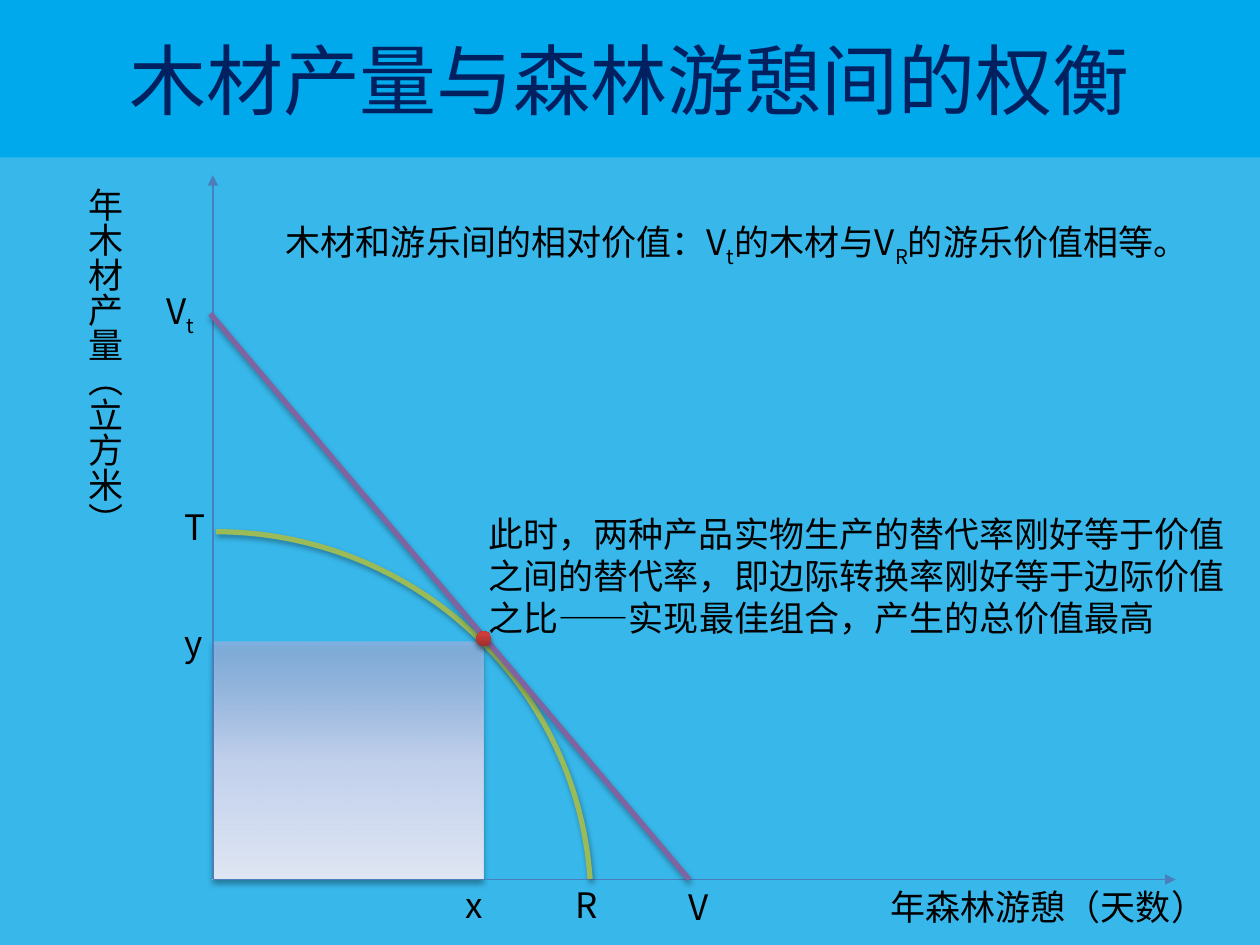
import dataclasses

import pptx
import pptx.dml.color
import pptx.enum.shapes
import pptx.enum.text
import pptx.oxml
import pptx.oxml.ns
import pptx.util
from lxml import etree

Inches = pptx.util.Inches
Pt = pptx.util.Pt
qn = pptx.oxml.ns.qn
Kind = pptx.enum.shapes.MSO_SHAPE
Align = pptx.enum.text.PP_ALIGN
Anchor = pptx.enum.text.MSO_ANCHOR
Fit = pptx.enum.text.MSO_AUTO_SIZE


@dataclasses.dataclass
class Theme:
    font: str = "Noto Sans CJK SC"
    title: int = 44
    body: int = 20
    back: str = "38B7EA"
    band: str = "00A9EC"
    navy: str = "002060"
    ink: str = "000000"
    axis: str = "4B7EBC"
    curve: str = "9BBB59"
    price: str = "8064A2"
    area: tuple = ((0, "9AB5E4", 72), (50, "C2D1ED", 100), (100, "E1E8F5", 100))
    dot: tuple = ((0, "9C2F2D", 100), (80, "CB3E3A", 100), (100, "CE3B37", 100))
    soft: tuple = (32, 3.5, 2.2)
    firm: tuple = (35, 3.1, 1.8)


def rgb(code):
    return pptx.dml.color.RGBColor.from_string(code)


def tint(parent, code, alpha):
    color = etree.SubElement(parent, qn("a:srgbClr"), val=code)
    if alpha < 100:
        etree.SubElement(color, qn("a:alpha"), val=str(alpha * 1000))


class Board:
    def __init__(self, slide, theme):
        self.slide = slide
        self.theme = theme
        slide.background.fill.solid()
        slide.background.fill.fore_color.rgb = rgb(theme.back)

    def shade(self, item, shadow):
        """Replace the inherited effects with a downward shadow, or with none."""
        props = item.element.spPr
        effects = props.find(qn("a:effectLst"))
        if effects is None:
            effects = etree.SubElement(props, qn("a:effectLst"))
        if shadow:
            alpha, blur, dist = shadow
            outer = etree.SubElement(
                effects, qn("a:outerShdw"), blurRad=str(Pt(blur)),
                dist=str(Pt(dist)), dir="5400000", rotWithShape="0")
            tint(outer, self.theme.ink, alpha)

    def shape(self, kind, box, shadow=None):
        item = self.slide.shapes.add_shape(kind, *map(Inches, box))
        item.fill.background()
        item.line.fill.background()
        item.shadow.inherit = False
        self.shade(item, shadow)
        return item

    def blend(self, kind, box, stops, angle, shadow):
        """Add a shape with a gradient fill."""
        item = self.shape(kind, box, shadow)
        item.fill.gradient()
        item.fill.gradient_angle = angle
        group = item.element.spPr.find(qn("a:gradFill")).find(qn("a:gsLst"))
        for old in list(group):
            group.remove(old)
        for place, code, alpha in stops:
            stop = etree.SubElement(group, qn("a:gs"), pos=str(place * 1000))
            tint(stop, code, alpha)

    def arc(self, box, start, end):
        item = self.shape(Kind.ARC, box, self.theme.firm)
        for index, angle in enumerate((start, end)):
            item.adjustments[index] = angle * 0.6
        item.line.color.rgb = rgb(self.theme.curve)
        item.line.width = Pt(3)

    def line(self, start, end, color, width, arrow=False, shadow=None):
        item = self.slide.shapes.add_connector(
            pptx.enum.shapes.MSO_CONNECTOR.STRAIGHT,
            *map(Inches, (*start, *end)))
        item.line.color.rgb = rgb(color)
        item.line.width = Pt(width)
        if arrow:
            stroke = item.element.spPr.find(qn("a:ln"))
            etree.SubElement(stroke, qn("a:tailEnd"), type="triangle")
        self.shade(item, shadow)

    def run(self, para, text, size, color, sub=False):
        piece = para.add_run()
        piece.text = text
        font = piece.font
        font.name = self.theme.font
        font.size = Pt(size)
        font.color.rgb = rgb(color)
        props = piece._r.get_or_add_rPr()
        etree.SubElement(props, qn("a:ea"), typeface=self.theme.font)
        if sub:
            props.set("baseline", "-25000")

    def title(self, box, text):
        item = self.shape(Kind.RECTANGLE, box)
        item.fill.solid()
        item.fill.fore_color.rgb = rgb(self.theme.band)
        frame = item.text_frame
        frame.vertical_anchor = Anchor.MIDDLE
        para = frame.paragraphs[0]
        para.alignment = Align.CENTER
        self.run(para, text, self.theme.title, self.theme.navy)

    def text(self, box, *parts, wrap=False, upright=False):
        """Add a text box; every second part is a subscript."""
        frame = self.slide.shapes.add_textbox(*map(Inches, box)).text_frame
        frame.word_wrap = wrap
        frame.auto_size = Fit.SHAPE_TO_FIT_TEXT
        if upright:
            frame._txBody.bodyPr.set("vert", "eaVert")
        for index, part in enumerate(parts):
            self.run(frame.paragraphs[0], part, self.theme.body,
                     self.theme.ink, sub=index % 2 == 1)


def main():
    deck = pptx.Presentation()
    deck.slide_width, deck.slide_height = Inches(10), Inches(7.5)
    theme = Theme()
    board = Board(deck.slides.add_slide(deck.slide_layouts[6]), theme)
    left, base = 1.69, 6.98

    board.blend(Kind.RECTANGLE, (left, 5.09, 2.15, base - 5.09),
                theme.area, 270, theme.soft)
    board.title((0, 0, 10, 1.25), "木材产量与森林游憩间的权衡")
    for tip in ((left, 1.39), (9.33, base)):
        board.line((left, base), tip, theme.axis, 0.75, arrow=True)
    board.text((0.51, 1.39, 0.54, 3.14), "年木材产量（立方米）",
               wrap=True, upright=True)
    board.text((6.97, base, 2.73, 0.44), "年森林游憩（天数）")

    board.arc((-1.26, 4.22, 5.95, 5.91), 270, 356.18)
    board.line((1.67, 2.49), (5.47, base), theme.price, 3, shadow=theme.firm)
    board.blend(Kind.OVAL, (3.78, 5.01, 0.12, 0.12), theme.dot, 90, theme.firm)

    marks = ((1.37, 3.96, "T"), (1.37, 4.88, "y"),
             (3.6, 6.96, "x"), (4.47, 6.96, "R"))
    for x, y, name in marks:
        board.text((x, y, 0.34, 0.44), name)
    for x, y, sub in ((1.22, 2.25, "t"), (5.37, base, "R")):
        board.text((x, y, 0.44, 0.44), "V", sub)

    board.text((3.78, 4.02, 6.21, 1.11),
               "此时，两种产品实物生产的替代率刚好等于价值之间的替代率，"
               "即边际转换率刚好等于边际价值之比——实现最佳组合，"
               "产生的总价值最高", wrap=True)
    board.text((2.17, 1.7, 7.49, 0.44), "木材和游乐间的相对价值：V", "t",
               "的木材与V", "R", "的游乐价值相等。")
    deck.save("out.pptx")


if __name__ == "__main__":
    main()
